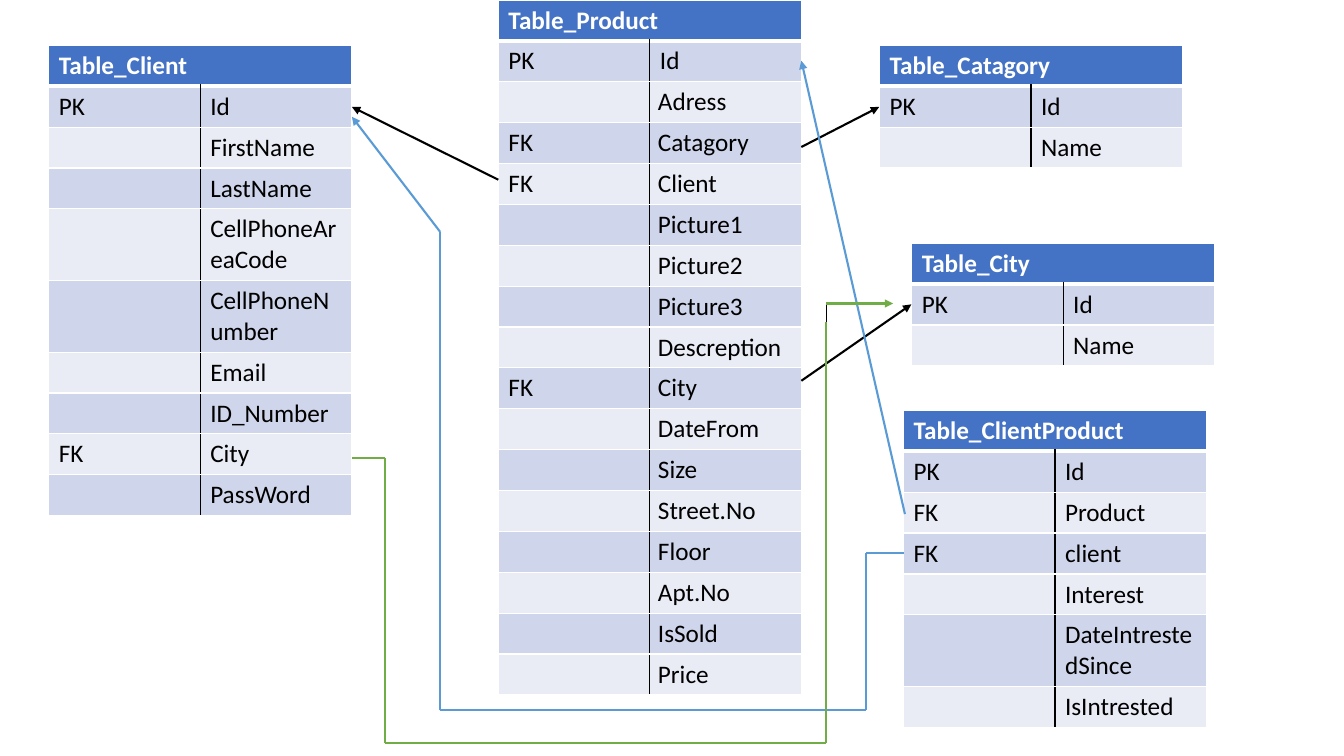
"""Build a database schema slide: five entity tables joined by key arrows."""
from dataclasses import dataclass
from itertools import pairwise

from lxml import etree
from pptx import Presentation
from pptx.dml.color import RGBColor
from pptx.enum.shapes import MSO_CONNECTOR
from pptx.enum.text import MSO_ANCHOR
from pptx.oxml.ns import qn
from pptx.util import Pt

STRAIGHT = MSO_CONNECTOR.STRAIGHT
TOP, MIDDLE = MSO_ANCHOR.TOP, MSO_ANCHOR.MIDDLE

BLACK = RGBColor(0x00, 0x00, 0x00)
WHITE = RGBColor(0xFF, 0xFF, 0xFF)
HEADER_BLUE = RGBColor(0x44, 0x72, 0xC4)
BANDS = (RGBColor(0xE9, 0xEB, 0xF5), RGBColor(0xCF, 0xD5, 0xEA))
BLUE = RGBColor(0x5B, 0x9B, 0xD5)
GREEN = RGBColor(0x70, 0xAD, 0x47)

COLUMN_WIDTH = 108.2
ROW_HEIGHT = 29.2
TIGHT_MARGINS = {"margin_left": Pt(5.8), "margin_right": Pt(5.8),
                 "margin_top": Pt(2.9), "margin_bottom": Pt(2.9)}


@dataclass
class Entity:
    """A database table with its place, fields and key marks."""
    title: str
    left: float
    top: float
    fields: list[str]
    foreign_keys: tuple[str, ...] = ()
    tight: bool = False


@dataclass
class Route:
    """A chain of straight lines, with an optional arrowhead at its end."""
    color: RGBColor
    points: list[tuple[float, float]]
    arrow: bool = True
    width: float = 1.5


ENTITIES = [
    Entity("Table_Client", 34.8, 32.4,
           ["Id", "FirstName", "LastName", "CellPhoneAreaCode", "CellPhoneNumber",
            "Email", "ID_Number", "City", "PassWord"], ("City",)),
    Entity("Table_Catagory", 628.2, 32.4, ["Id", "Name"]),
    Entity("Table_City", 651.2, 173.8, ["Id", "Name"]),
    Entity("Table_Product", 356, 0,
           ["Id", "Adress", "Catagory", "Client", "Picture1", "Picture2", "Picture3",
            "Descreption", "City", "DateFrom", "Size", "Street.No", "Floor", "Apt.No",
            "IsSold", "Price"], ("Catagory", "Client", "City"), tight=True),
    Entity("Table_ClientProduct", 645.4, 293.2,
           ["Id", "Product", "client", "Interest", "DateIntrestedSince", "IsIntrested"],
           ("Product", "client")),
]

ROUTES = [
    Route(BLACK, [(572.4, 105), (628, 76.4)]),
    Route(BLACK, [(572.4, 272), (651, 217.4)]),
    Route(BLACK, [(356, 128.4), (251.4, 76.4)]),
    Route(BLUE, [(646.4, 367.2), (572.4, 43.4)]),
    Route(BLUE, [(645.4, 395.2), (618.6, 395.2), (618.6, 507.4), (314.4, 507.4),
                 (314.4, 165.6), (251.4, 83.4)]),
    Route(BLACK, [(590.2, 517.6), (590.2, 217.4)], arrow=False, width=0.5),
    Route(GREEN, [(251.4, 327.4), (275.2, 327.4), (275.2, 530.6), (590.2, 530.6),
                  (590.2, 229.8)], arrow=False),
    Route(GREEN, [(589.8, 216.8), (638, 216.8)]),
]


def set_borders(cell, borders: dict[str, tuple[RGBColor, float]]) -> None:
    """Give a cell its edges, keyed by edge tag in schema order."""
    properties = cell._tc.get_or_add_tcPr()
    for tag, (color, width) in borders.items():
        line = etree.SubElement(properties, qn(f"a:{tag}"), w=str(Pt(width)))
        fill = etree.SubElement(line, qn("a:solidFill"))
        etree.SubElement(fill, qn("a:srgbClr"), val=str(color))


def format_cell(cell, text: str, fill: RGBColor, color: RGBColor, bold: bool,
                layout: dict) -> None:
    """Fill a cell and write its text."""
    cell.fill.solid()
    cell.fill.fore_color.rgb = fill
    for name, value in layout.items():
        setattr(cell, name, value)
    if text:
        span = cell.text_frame.paragraphs[0].add_run()
        span.text = text
        span.font.color.rgb = color
        for name, value in {"name": "Calibri", "size": Pt(18), "bold": bold}.items():
            setattr(span.font, name, value)


def draw_entity(page, entity: Entity) -> None:
    """Draw an entity as a banded table under a merged title."""
    keys = {"Id": "PK"} | dict.fromkeys(entity.foreign_keys, "FK")
    rows = [(entity.title, "")] + [(keys.get(field, ""), field) for field in entity.fields]
    table = page.shapes.add_table(
        len(rows), 2, Pt(entity.left), Pt(entity.top),
        Pt(2 * COLUMN_WIDTH), Pt(len(rows) * ROW_HEIGHT)).table
    for column in table.columns:
        column.width = Pt(COLUMN_WIDTH)
    for row in table.rows:
        row.height = Pt(ROW_HEIGHT)
    table.cell(0, 0).merge(table.cell(0, 1))
    for row_index, texts in enumerate(rows):
        header = row_index == 0
        fill = HEADER_BLUE if header else BANDS[row_index % 2]
        divider = WHITE if header else BLACK
        for column_index, text in enumerate(texts):
            cell = table.cell(row_index, column_index)
            field = column_index == 1 and row_index > 1
            layout = {"vertical_anchor": MIDDLE if field else TOP}
            if field and entity.tight:
                layout |= TIGHT_MARGINS
            set_borders(cell, {
                "lnL": (divider if column_index == 1 else WHITE, 1),
                "lnR": (divider if column_index == 0 else WHITE, 1),
                "lnT": (WHITE, 3 if row_index == 1 else 1),
                "lnB": (WHITE, 3 if header else 1)})
            format_cell(cell, text, fill, WHITE if header else BLACK, header, layout)


def draw_route(page, route: Route) -> None:
    """Draw each leg of a route, with the arrowhead on the last one."""
    for start, end in pairwise(route.points):
        leg = page.shapes.add_connector(STRAIGHT, *map(Pt, start + end))
        leg.line.color.rgb = route.color
        leg.line.width = Pt(route.width)
        if route.arrow and end == route.points[-1]:
            etree.SubElement(leg.line._get_or_add_ln(), qn("a:tailEnd"), type="triangle")
        etree.SubElement(leg._element.spPr, qn("a:effectLst"))


def main() -> None:
    """Build and save the deck."""
    deck = Presentation()
    deck.slide_width, deck.slide_height = Pt(960), Pt(540)
    page = deck.slides.add_slide(deck.slide_layouts[6])
    for entity in ENTITIES:
        draw_entity(page, entity)
    for route in ROUTES:
        draw_route(page, route)
    deck.save("out.pptx")


main()
